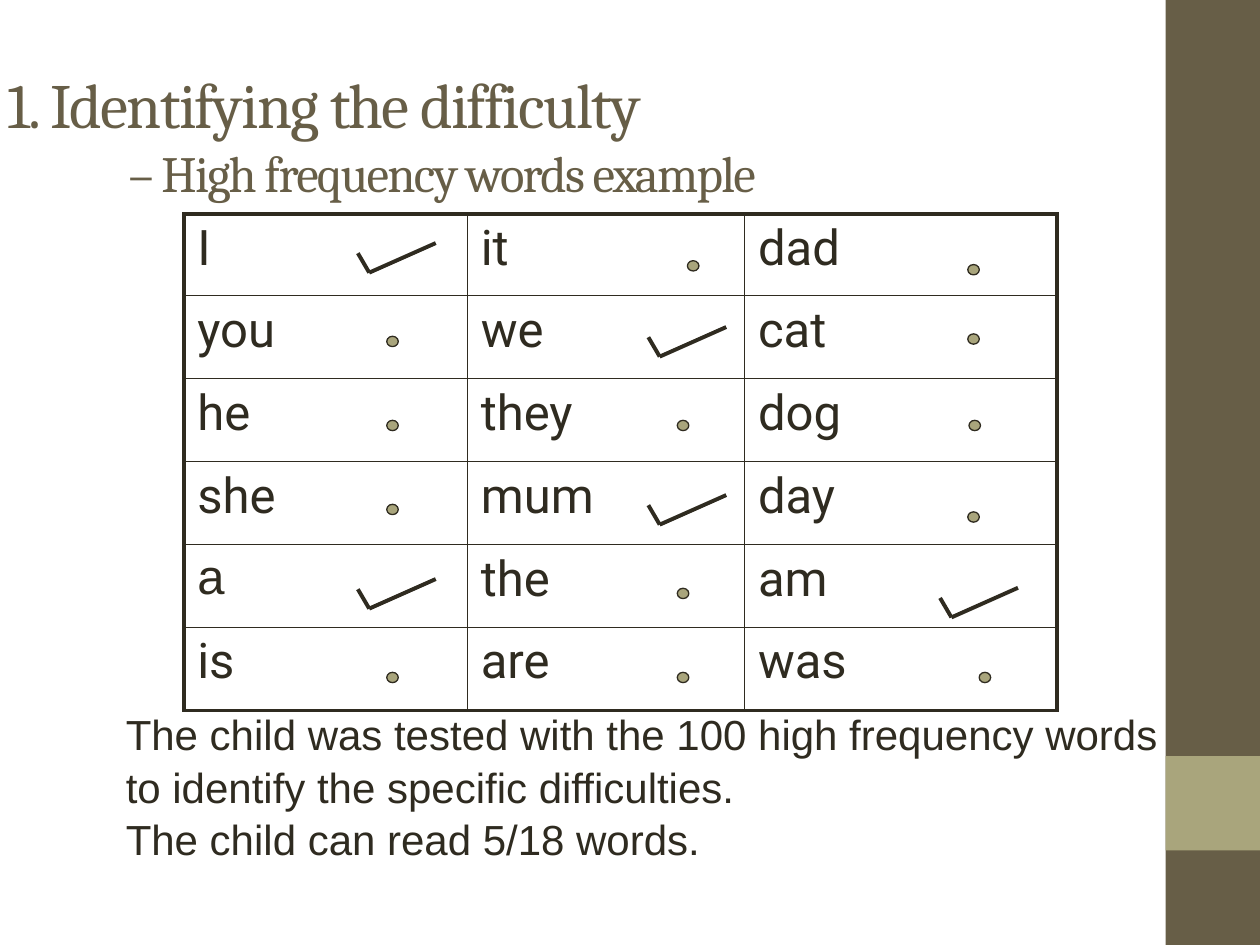
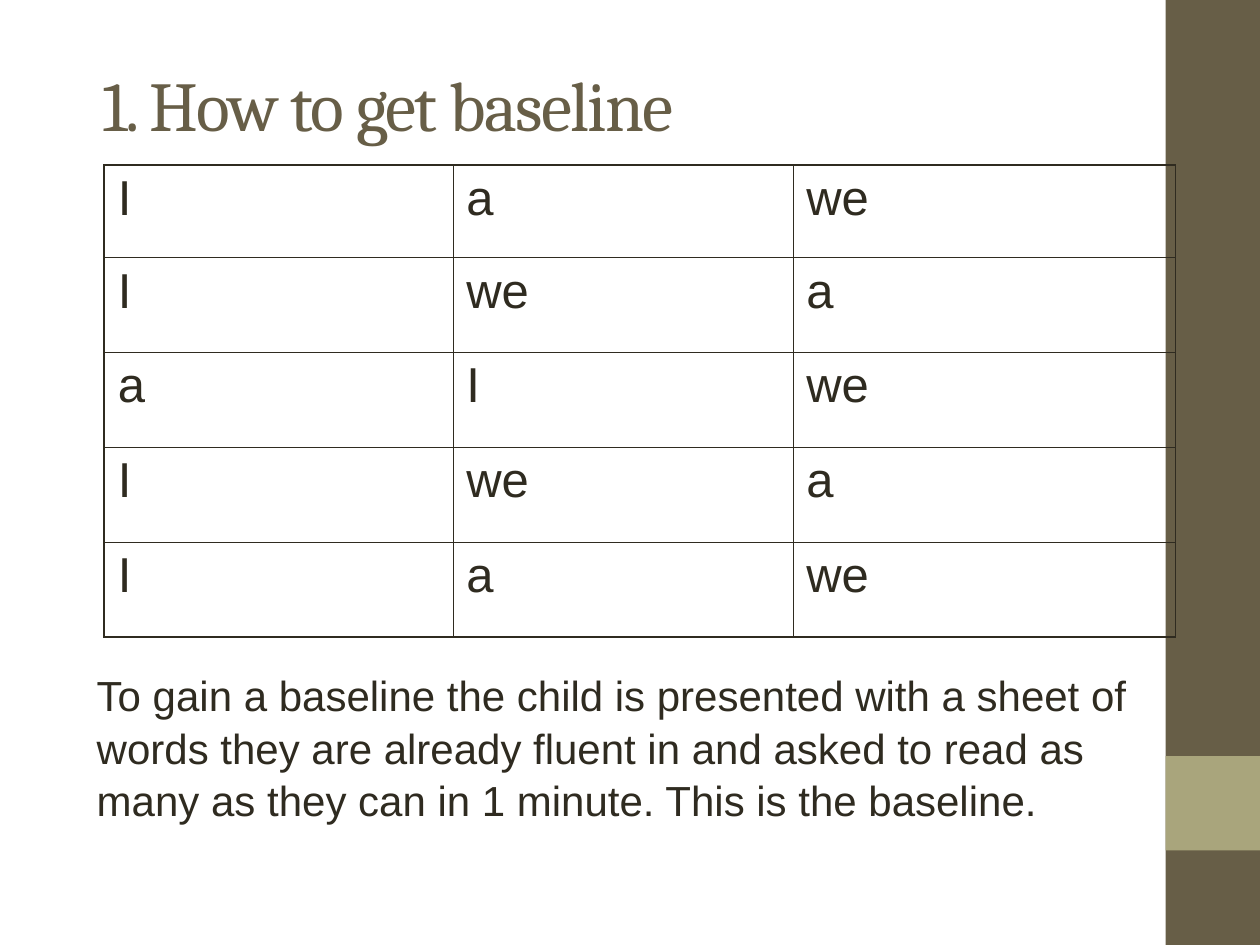
from dataclasses import dataclass

from lxml.etree import SubElement
from pptx import Presentation
from pptx.dml.color import RGBColor
from pptx.enum.shapes import MSO_CONNECTOR, MSO_SHAPE
from pptx.enum.text import MSO_ANCHOR, MSO_AUTO_SIZE, PP_ALIGN
from pptx.oxml.ns import qn
from pptx.util import Pt


@dataclass(frozen=True)
class Theme:
    brown: str = "675E47"
    olive: str = "A9A57C"
    ink: str = "2F2B20"
    title_font: str = "Cambria"
    body_font: str = "Arial"
    word_font: str = "Roboto"
    title_size: float = 40
    long_title_size: float = 36
    subtitle_size: float = 29
    word_size: float = 28
    body_size: float = 24
    title_tracking: int = -100


@dataclass(frozen=True)
class Frame:
    left: float
    top: float
    width: float
    height: float

    def lengths(self) -> tuple:
        return Pt(self.left), Pt(self.top), Pt(self.width), Pt(self.height)


@dataclass(frozen=True)
class Word:
    text: str
    read: bool = False
    shift: tuple[float, float] = (0, 0)
    font: str = Theme.word_font


@dataclass(frozen=True)
class Grid:
    left: float
    top: float
    columns: tuple[float, ...]
    rows: tuple[float, ...]
    outer_line: float
    inner_line: float


THEME = Theme()
BANDS = (
    (Frame(666, 0, 54, 540), THEME.brown),
    (Frame(666, 432, 54, 54), THEME.olive),
)
TESTED_WORDS = (
    (Word("I", True), Word("it", shift=(5.8, 4.8)), Word("dad", shift=(0, 7))),
    (Word("you"), Word("we", True), Word("cat", shift=(0, -1.4))),
    (Word("he"), Word("they"), Word("dog", shift=(0.7, 0))),
    (Word("she"), Word("mum", True), Word("day", shift=(0, 4.3))),
    (Word("a", True, font=THEME.body_font), Word("the"),
     Word("am", True, (0.7, 5))),
    (Word("is"), Word("are"), Word("was", shift=(6.5, 0))),
)
FLUENT_WORDS = ("I a we", "I we a", "a I we", "I we a", "I a we")
TESTED_GRID = Grid(105.1, 122.4, (162, 158.4, 178.6),
                   (46.5,) + (47.4,) * 5, 2.25, 1)
FLUENT_GRID = Grid(59.6, 94.3, (199.2, 194.3, 218.7),
                   (52.8,) + (54.2,) * 4, 1.08, 0.45)
MARK_LEFT, MARK_TOP = 221, 144.2
MARK_COLUMN_STEP, MARK_ROW_STEP = 166, 48
DOT_WIDTH, DOT_HEIGHT = 6.6, 5.9


def write(para, text: str, *, size: float, color: str = THEME.ink,
          font: str = THEME.body_font, tracking: int = 0) -> None:
    span = para.add_run()
    span.text = text
    span.font.size = Pt(size)
    span.font.name = font
    span.font.color.rgb = RGBColor.from_string(color)
    if tracking:
        span.font._element.set("spc", str(tracking))


def draw_shape(page, preset, frame: Frame, fill: str, line: str | None = None):
    shape = page.shapes.add_shape(preset, *frame.lengths())
    shape.shadow.inherit = False
    shape.fill.solid()
    shape.fill.fore_color.rgb = RGBColor.from_string(fill)
    if line:
        shape.line.color.rgb = RGBColor.from_string(line)
        shape.line.width = Pt(0.75)
    else:
        shape.line.fill.background()
    return shape


def draw_line(page, start: tuple[float, float], end: tuple[float, float]) -> None:
    line = page.shapes.add_connector(
        MSO_CONNECTOR.STRAIGHT, *(Pt(value) for value in start + end))
    line.line.color.rgb = RGBColor.from_string(THEME.ink)
    line.line.width = Pt(2.25)
    SubElement(line._element.spPr, qn("a:effectLst"))


def move_bands_to_layout(page) -> None:
    for frame, color in BANDS:
        band = draw_shape(page, MSO_SHAPE.RECTANGLE, frame, color)
        page.slide_layout.shapes.element.append(band.element)


def start_title(page, frame: Frame):
    title = page.shapes.title
    title.left, title.top, title.width, title.height = frame.lengths()
    box = title.text_frame
    box.auto_size = MSO_AUTO_SIZE.NONE
    box.word_wrap = True
    box.vertical_anchor = MSO_ANCHOR.MIDDLE
    box.margin_left = box.margin_right = Pt(4.3)
    para = box.paragraphs[0]
    para.alignment = PP_ALIGN.LEFT
    return para


def write_title(para, text: str, size: float) -> None:
    write(para, text, size=size, color=THEME.brown, font=THEME.title_font,
          tracking=THEME.title_tracking)


def add_body(page, frame: Frame, texts: tuple[str, ...]) -> None:
    box = page.shapes.add_textbox(*frame.lengths()).text_frame
    box.word_wrap = True
    for index, text in enumerate(texts):
        para = box.add_paragraph() if index else box.paragraphs[0]
        para.line_spacing = 1.04
        write(para, text, size=THEME.body_size)


def add_border(cell, side: str, width: float) -> None:
    line = SubElement(cell._tc.get_or_add_tcPr(), qn(f"a:ln{side}"),
                      w=str(Pt(width)))
    fill = SubElement(line, qn("a:solidFill"))
    SubElement(fill, qn("a:srgbClr"), val=THEME.ink)


def add_word_table(page, grid: Grid, words) -> None:
    frame = Frame(grid.left, grid.top, sum(grid.columns), sum(grid.rows))
    last_row, last_column = len(grid.rows) - 1, len(grid.columns) - 1
    table = page.shapes.add_table(
        last_row + 1, last_column + 1, *frame.lengths()).table
    table.first_row = table.horz_banding = False
    for column, width in zip(table.columns, grid.columns):
        column.width = Pt(width)
    for row_index, height in enumerate(grid.rows):
        table.rows[row_index].height = Pt(height)
        for column_index, word in enumerate(words[row_index]):
            cell = table.cell(row_index, column_index)
            cell.margin_left = cell.margin_right = Pt(7.7)
            cell.margin_top = cell.margin_bottom = Pt(3.6)
            write(cell.text_frame.paragraphs[0], word.text,
                  size=THEME.word_size, font=word.font)
            outer_sides = {
                "L": column_index == 0, "R": column_index == last_column,
                "T": row_index == 0, "B": row_index == last_row,
            }
            for side, is_outer in outer_sides.items():
                add_border(cell, side,
                           grid.outer_line if is_outer else grid.inner_line)
            cell.fill.background()


def add_mark(page, word: Word, row: int, column: int) -> None:
    left = MARK_LEFT + column * MARK_COLUMN_STEP + word.shift[0]
    top = MARK_TOP + row * MARK_ROW_STEP + word.shift[1]
    if word.read:
        corner = (left - 10, top + 11.6)
        draw_line(page, (left + 28, top - 5.3), corner)
        draw_line(page, corner, (left - 16.5, top + 0.5))
    else:
        draw_shape(page, MSO_SHAPE.OVAL, Frame(left, top, DOT_WIDTH, DOT_HEIGHT),
                   THEME.olive, THEME.ink)


def build_difficulty_page(page) -> None:
    para = start_title(page, Frame(0, 31.7, 668.9, 90))
    properties = para._p.get_or_add_pPr()
    properties.set("marL", str(Pt(69)))
    properties.set("indent", str(Pt(-69)))
    write_title(para, "1. Identifying the difficulty", THEME.long_title_size)
    para.add_line_break()
    write_title(para, "– High frequency words example", THEME.subtitle_size)
    add_word_table(page, TESTED_GRID, TESTED_WORDS)
    for row, words in enumerate(TESTED_WORDS):
        for column, word in enumerate(words):
            add_mark(page, word, row, column)
    add_body(page, Frame(64.8, 400.3, 612, 93.6), (
        "The child was tested with the 100 high frequency words to identify "
        "the specific difficulties.",
        "The child can read 5/18 words.",
    ))


def build_baseline_page(page) -> None:
    para = start_title(page, Frame(54, 20.2, 612, 77.8))
    write_title(para, "1. How to get baseline", THEME.title_size)
    words = [[Word(text, font=THEME.body_font) for text in line.split()]
             for line in FLUENT_WORDS]
    add_word_table(page, FLUENT_GRID, words)
    add_body(page, Frame(48.2, 378, 612.7, 93.6), (
        "To gain a baseline the child is presented with a sheet of words they "
        "are already fluent in and asked to read as many as they can in "
        "1 minute. This is the baseline.",
    ))


def main() -> None:
    deck = Presentation()
    deck.slide_width, deck.slide_height = Pt(720), Pt(540)
    title_only = deck.slide_layouts[5]
    difficulty_page = deck.slides.add_slide(title_only)
    move_bands_to_layout(difficulty_page)
    build_difficulty_page(difficulty_page)
    build_baseline_page(deck.slides.add_slide(title_only))
    deck.save("out.pptx")


if __name__ == "__main__":
    main()
